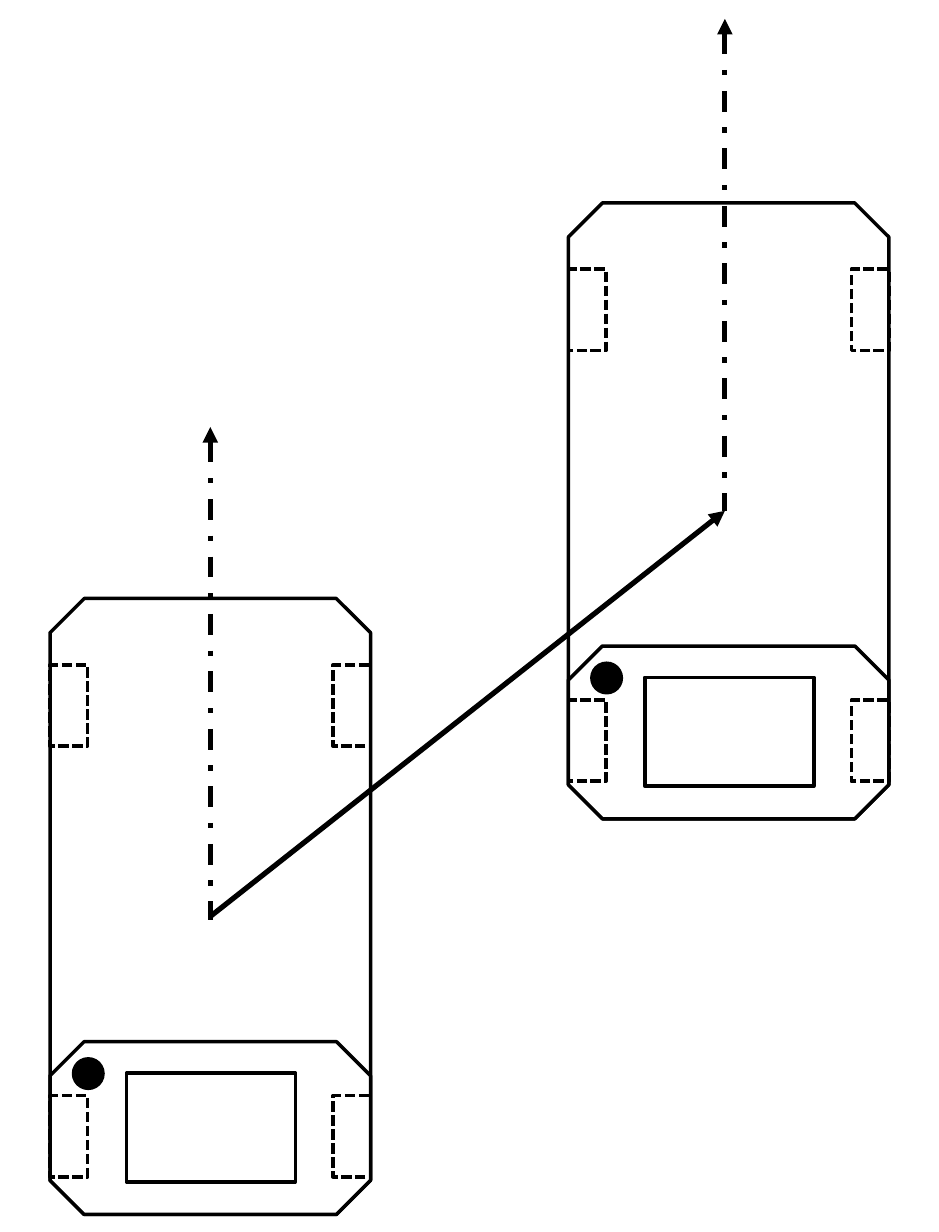
from pptx import Presentation
from pptx.dml.color import RGBColor
from pptx.enum.dml import MSO_LINE
from pptx.enum.shapes import MSO_CONNECTOR, MSO_SHAPE
from pptx.oxml.ns import qn
from pptx.util import Inches, Pt
from lxml.etree import SubElement

BLACK, WHITE = "000000", "FFFFFF"
CAR_CORNERS = [(0.4, 4.78), (4.54, 1.62)]
WHEEL_LEFTS, WHEEL_TOPS = (0, 2.26), (0.53, 3.97)
BODY = dict(kind=MSO_SHAPE.OCTAGON, box=(0, 0, 2.56, 4.92), fill=WHITE, corner=0.107)
CAB = dict(kind=MSO_SHAPE.OCTAGON, box=(0, 3.54, 2.56, 1.38), fill=WHITE, corner=0.197)
WINDOW = dict(kind=MSO_SHAPE.RECTANGLE, box=(0.61, 3.79, 1.35, 0.87), fill=WHITE)
SENSOR = dict(kind=MSO_SHAPE.OVAL, box=(0.18, 3.67, 0.25, 0.25), fill=BLACK, width=1)
WHEELS = [
    dict(kind=MSO_SHAPE.RECTANGLE, box=(left, top, 0.3, 0.65), dash=MSO_LINE.SQUARE_DOT)
    for left in WHEEL_LEFTS for top in WHEEL_TOPS
]
CAR_PARTS = [BODY, CAB, WINDOW, SENSOR, *WHEELS]
ARROWS = [
    dict(start=(1.68, 7.32), end=(5.79, 4.08), arrowhead="a:tailEnd"),
    dict(start=(1.68, 3.41), end=(1.68, 7.35), arrowhead="a:headEnd", dash=MSO_LINE.DASH_DOT),
    dict(start=(5.79, 0.15), end=(5.79, 4.08), arrowhead="a:headEnd", dash=MSO_LINE.DASH_DOT),
]


def color(hex_string):
    """Turn a hex string into a colour."""
    return RGBColor.from_string(hex_string)


def format_line(line, width, dash=None):
    """Make a line black with the given width in points and dash."""
    line.color.rgb = color(BLACK)
    line.width = Pt(width)
    if dash is not None:
        line.dash_style = dash


def add_part(group, corner_at, kind, box, fill=None, corner=None, width=2, dash=None):
    """Add one car part, placed relative to the top left corner of its car."""
    left, top, part_width, height = box
    shape = group.shapes.add_shape(
        kind, Inches(corner_at[0] + left), Inches(corner_at[1] + top),
        Inches(part_width), Inches(height))
    shape.shadow.inherit = False
    if corner is not None:
        shape.adjustments[0] = corner
    if fill:
        shape.fill.solid()
        shape.fill.fore_color.rgb = color(fill)
    else:
        shape.fill.background()
    format_line(shape.line, width, dash)


def add_arrow(slide, start, end, arrowhead, dash=None):
    """Add a straight arrow with a triangle at one end."""
    connector = slide.shapes.add_connector(
        MSO_CONNECTOR.STRAIGHT, *[Inches(length) for length in (*start, *end)])
    format_line(connector.line, 3, dash)
    properties = connector._element.spPr
    SubElement(properties.find(qn("a:ln")), qn(arrowhead), type="triangle")
    SubElement(properties, qn("a:effectLst"))


presentation = Presentation()
presentation.slide_width = Inches(7.5)
presentation.slide_height = Inches(9.84)
slide = presentation.slides.add_slide(presentation.slide_layouts[6])

for number, corner_at in enumerate(CAR_CORNERS, 1):
    car = slide.shapes.add_group_shape()
    car.name = f"Car {number}"
    for part in CAR_PARTS:
        add_part(car, corner_at, **part)
for arrow in ARROWS:
    add_arrow(slide, **arrow)

presentation.save("out.pptx")
